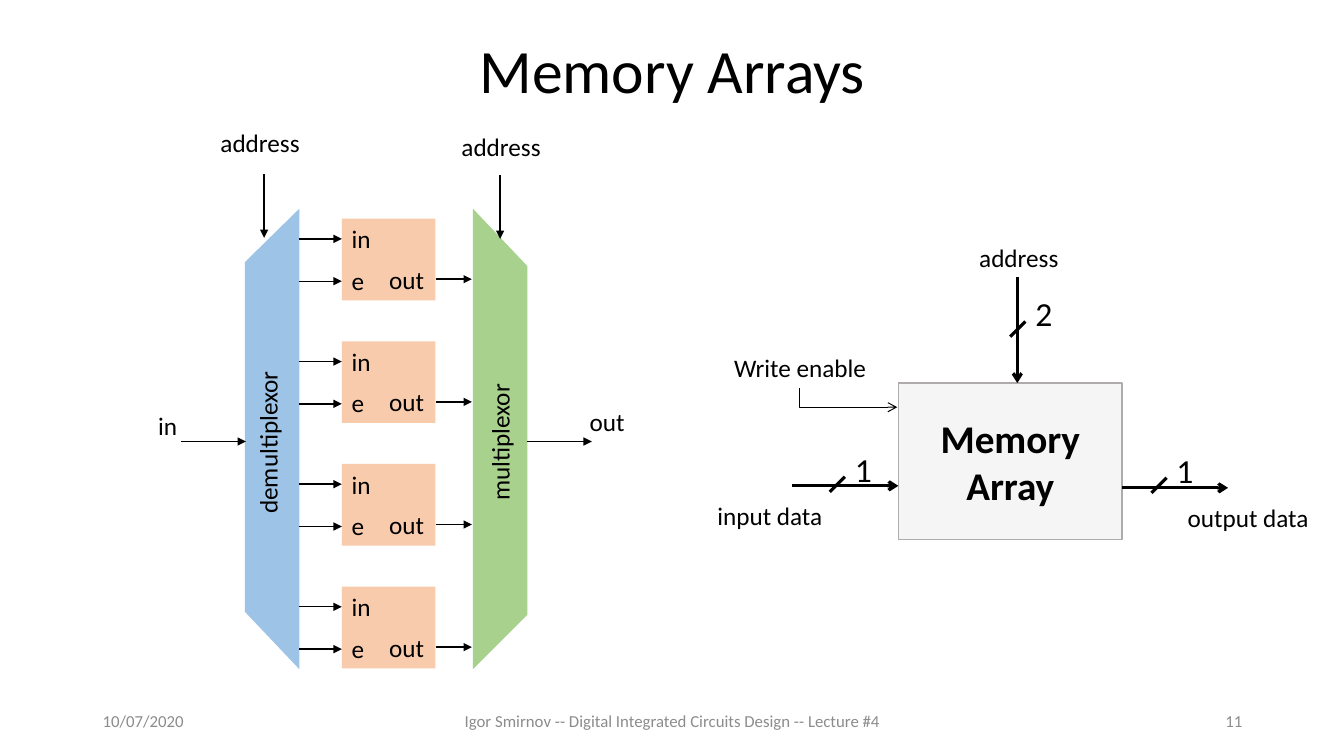
from dataclasses import dataclass

from lxml import etree
from pptx import Presentation
from pptx import util as u
from pptx.dml.color import RGBColor
from pptx.enum import shapes, text
from pptx.oxml import ns


@dataclass(frozen=True)
class Theme:
    font: str = "Calibri"
    ink: str = "000000"
    muted: str = "8C8C8C"
    demux: str = "9DC3E6"
    mux: str = "A9D18E"
    cell: str = "F8CBAD"
    block: str = "F5F5F5"
    block_edge: str = "AFABAB"
    title_size: float = 44
    block_size: float = 28
    width_size: float = 24
    label_size: float = 18
    footer_size: float = 12
    thin: float = 0.75
    wire: float = 1
    bus: float = 2.25


THEME = Theme()
LEFT, CENTER, RIGHT = text.PP_ALIGN.LEFT, text.PP_ALIGN.CENTER, text.PP_ALIGN.RIGHT

TITLE = "Memory Arrays"
FOOTERS = [
    ("10/07/2020", 0.92, 3, LEFT),
    ("Igor Smirnov -- Digital Integrated Circuits Design -- Lecture #4", 4.42, 4.5, CENTER),
    ("11", 9.42, 3, RIGHT),
]
SELECTORS = [
    (THEME.demux, [(2.97, 6.64), (2.97, 2.07), (2.43, 2.6), (2.43, 6.07)]),
    (THEME.mux, [(4.69, 2.07), (4.69, 6.64), (5.23, 6.1), (5.23, 2.64)]),
]
SELECTOR_LABELS = [("demultiplexor", 1.84, 4.18, 1.63), ("multiplexor", 4.27, 4.18, 1.37)]
CELL_COUNT = 4
CELL_LEFT, CELL_TOP, CELL_WIDTH, CELL_HEIGHT = 3.39, 2.17, 0.93, 0.81
CELL_PITCH = 3.65 / 3
CELL_PORTS = [("in", 0, 0, 0.39), ("out", 0.37, 0.4, 0.55), ("e", 0, 0.41, 0.33)]
CELL_WIRES = [(2.97, CELL_LEFT, 0.2), (4.32, 4.68, 0.6), (2.97, CELL_LEFT, 0.62)]
CIRCUIT_LABELS = [
    ("in", 1.47, 4.02, 0.39, LEFT),
    ("out", 5.75, 3.98, 0.55, LEFT),
    ("address", 4.47, 1.25, 1, CENTER),
    ("address", 2.08, 1.21, 1, CENTER),
]
CIRCUIT_WIRES = [
    ((5.23, 4.38), (5.87, 4.38)),
    ((1.8, 4.38), (2.44, 4.38)),
    ((2.62, 1.73), (2.62, 2.36)),
    ((4.96, 1.74), (4.96, 2.37)),
]
BLOCK_LINES = ["Memory", "Array"]
BLOCK_BOX = (8.91, 3.8, 2.22, 1.55)
BLOCK_LABELS = [
    ("address", 9.59, 2.35, 1.03),
    ("input data", 6.99, 4.91, 1.29),
    ("output data", 11.65, 4.93, 1.46),
    ("Write enable", 7.16, 3.45, 1.55),
]
BUSES = [
    ((10.09, 2.75), (10.09, 3.8), "2", (10.02, 3.19)),
    ((7.86, 4.82), (8.91, 4.82), "1", (8.23, 4.73)),
    ((11.13, 4.84), (12.18, 4.84), "1", (11.42, 4.74)),
]
SLASH = 0.15
WRITE_ENABLE = ((8.9, 4.04), (7.93, 3.85))


def inches(values):
    return [u.Inches(value) for value in values]


def write(paragraph, words, size, color=THEME.ink, bold=False, align=LEFT):
    paragraph.alignment = align
    run = paragraph.add_run()
    run.text = words
    run.font.name = THEME.font
    run.font.size = u.Pt(size)
    run.font.bold = bold
    run.font.color.rgb = RGBColor.from_string(color)


def add_label(parent, words, left, top, width, align=LEFT, height=0.4, size=THEME.label_size):
    shape = parent.shapes.add_textbox(*inches((left, top, width, height)))
    shape.text_frame.word_wrap = False
    shape.text_frame.auto_size = text.MSO_AUTO_SIZE.SHAPE_TO_FIT_TEXT
    write(shape.text_frame.paragraphs[0], words, size, align=align)
    return shape


def paint(shape, fill, edge=None):
    shape.shadow.inherit = False
    shape.fill.solid()
    shape.fill.fore_color.rgb = RGBColor.from_string(fill)
    if edge:
        shape.line.color.rgb = RGBColor.from_string(edge)
        shape.line.width = u.Pt(THEME.wire)
    else:
        shape.line.fill.background()


def add_rectangle(parent, box, fill, edge=None):
    shape = parent.shapes.add_shape(shapes.MSO_SHAPE.RECTANGLE, *inches(box))
    paint(shape, fill, edge)
    return shape


def add_line(parent, start, end, width=THEME.wire, arrow=None, arrow_end="tailEnd",
             kind=shapes.MSO_CONNECTOR.STRAIGHT):
    connector = parent.shapes.add_connector(kind, *inches(start + end))
    connector.line.color.rgb = RGBColor.from_string(THEME.ink)
    connector.line.width = u.Pt(width)
    if arrow:
        etree.SubElement(connector.line._get_or_add_ln(), ns.qn("a:" + arrow_end), type=arrow)
    etree.SubElement(connector._element.spPr, ns.qn("a:effectLst"))
    return connector


def add_title(slide):
    title = slide.shapes.title
    title.left, title.top, title.width, title.height = inches((0.92, 0, 11.5, 1.45))
    title.text_frame.auto_size = text.MSO_AUTO_SIZE.NONE
    title.text_frame.vertical_anchor = text.MSO_ANCHOR.MIDDLE
    paragraph = title.text_frame.paragraphs[0]
    paragraph.line_spacing = 0.9
    write(paragraph, TITLE, THEME.title_size, align=CENTER)


def add_footers(slide):
    for words, left, width, align in FOOTERS:
        frame = slide.shapes.add_textbox(*inches((left, 6.95, width, 0.4))).text_frame
        frame.word_wrap = True
        frame.vertical_anchor = text.MSO_ANCHOR.MIDDLE
        write(frame.paragraphs[0], words, THEME.footer_size, THEME.muted, align=align)


def add_circuit(slide):
    for color, corners in SELECTORS:
        points = [inches(corner) for corner in corners]
        builder = slide.shapes.build_freeform(*points[0])
        builder.add_line_segments(points[1:], close=True)
        paint(builder.convert_to_shape(), color)
    for row in range(CELL_COUNT):
        top = CELL_TOP + row * CELL_PITCH
        cell = slide.shapes.add_group_shape()
        add_rectangle(cell, (CELL_LEFT, top, CELL_WIDTH, CELL_HEIGHT), THEME.cell)
        for words, dx, dy, width in CELL_PORTS:
            add_label(cell, words, CELL_LEFT + dx, top + dy, width)
        for start, end, dy in CELL_WIRES:
            add_line(cell, (start, top + dy), (end, top + dy), arrow="triangle")
    for label in SELECTOR_LABELS:
        add_label(slide, *label).rotation = 270
    for label in CIRCUIT_LABELS:
        add_label(slide, *label)
    for start, end in CIRCUIT_WIRES:
        add_line(slide, start, end, arrow="triangle")


def add_block_symbol(slide):
    symbol = slide.shapes.add_group_shape()
    frame = add_rectangle(symbol, BLOCK_BOX, THEME.block, THEME.block_edge).text_frame
    frame.word_wrap = False
    frame.vertical_anchor = text.MSO_ANCHOR.MIDDLE
    for index, words in enumerate(BLOCK_LINES):
        paragraph = frame.add_paragraph() if index else frame.paragraphs[0]
        write(paragraph, words, THEME.block_size, bold=True, align=CENTER)
    for label in BLOCK_LABELS:
        add_label(symbol, *label, align=CENTER)
    for start, end, bits, (x, y) in BUSES:
        add_line(symbol, start, end, THEME.bus, "arrow")
        add_line(symbol, (x, y + SLASH), (x + SLASH, y), THEME.bus)
        add_label(symbol, bits, x + SLASH, y - 0.33, 0.37, height=0.5, size=THEME.width_size)
    elbow = add_line(symbol, *WRITE_ENABLE, THEME.thin, "arrow", "headEnd",
                     shapes.MSO_CONNECTOR.ELBOW)
    elbow._element.spPr.find(ns.qn("a:prstGeom")).set("prst", "bentConnector2")


def main():
    presentation = Presentation()
    presentation.slide_width, presentation.slide_height = inches((13.33, 7.5))
    slide = presentation.slides.add_slide(presentation.slide_layouts[5])
    add_title(slide)
    add_footers(slide)
    add_circuit(slide)
    add_block_symbol(slide)
    presentation.save("out.pptx")


if __name__ == "__main__":
    main()
